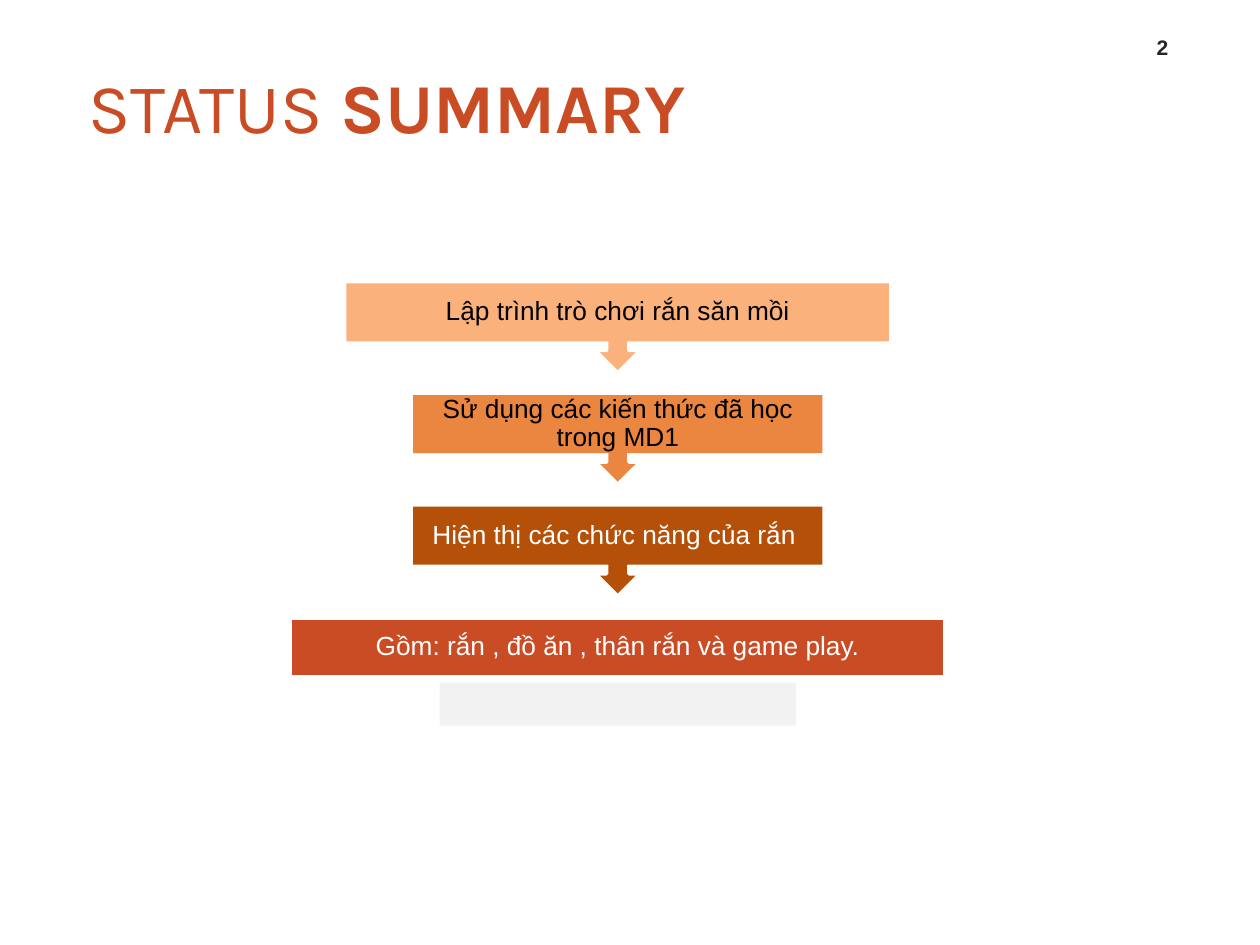
from pptx import Presentation
from pptx.dml.color import RGBColor
from pptx.enum.shapes import MSO_SHAPE
from pptx.enum.text import MSO_ANCHOR, MSO_AUTO_SIZE, PP_ALIGN
from pptx.util import Pt

COLORS = {
    "white": "FFFFFF", "black": "000000", "number": "262626", "rust": "C94C25",
    "peach": "FAB17B", "orange": "EA8640", "brown": "B45007", "gray": "F2F2F2",
}
# text, width, fill, text color
STEPS = [
    ("Lập trình trò chơi rắn săn mồi", 310, "peach", "black"),
    ("Sử dụng các kiến thức đã học trong MD1", 234, "orange", "black"),
    ("Hiện thị các chức năng của rắn ", 234, "brown", "white"),
    ("Gồm: rắn , đồ ăn , thân rắn và game play.", 374.4, "rust", "white"),
]
STEP_PITCH = 63.8
STEP_HEIGHT = 33.1
CALLOUT_HEIGHT = 51


def color(name):
    return RGBColor.from_string(COLORS[name])


def format_span(span, size, font, color_name, bold=False):
    span.font.size = Pt(size)
    span.font.name = font
    span.font.color.rgb = color(color_name)
    span.font.bold = bold


def add_box(shapes, kind, left, top, width, height, fill, outlined=False):
    box = shapes.add_shape(kind, Pt(left), Pt(top), Pt(width), Pt(height))
    box.shadow.inherit = False
    box.fill.solid()
    box.fill.fore_color.rgb = color(fill)
    if outlined:
        box.line.color.rgb = color("white")
        box.line.width = Pt(2)
    else:
        box.line.fill.background()
    return box


def fill_title(title, left, top, width, height):
    title.left, title.top, title.width, title.height = Pt(left), Pt(top), Pt(width), Pt(height)
    frame = title.text_frame
    frame.auto_size = MSO_AUTO_SIZE.NONE
    frame.vertical_anchor = MSO_ANCHOR.MIDDLE
    frame.margin_left = frame.margin_right = 0
    para = frame.paragraphs[0]
    para.alignment = PP_ALIGN.LEFT
    para._p.get_or_add_pPr().set("marL", str(Pt(14.4)))
    for text, bold in (("STATUS", False), (" SUMMARY", True)):
        span = para.add_run()
        span.text = text
        format_span(span, 40, "Karla", "rust", bold)


def add_page_number(page, left, top, width, height):
    box = page.shapes.add_textbox(Pt(left), Pt(top), Pt(width), Pt(height))
    frame = box.text_frame
    frame.word_wrap = True
    frame.vertical_anchor = MSO_ANCHOR.BOTTOM
    para = frame.paragraphs[0]
    para.text = "2"
    para.alignment = PP_ALIGN.CENTER
    format_span(para.runs[0], 12, "Arial", "number", True)


def set_label(box, text, text_color):
    frame = box.text_frame
    frame.word_wrap = True
    frame.vertical_anchor = MSO_ANCHOR.MIDDLE
    frame.margin_left = frame.margin_right = frame.margin_top = frame.margin_bottom = Pt(8.4)
    para = frame.paragraphs[0]
    para.text = text
    para.alignment = PP_ALIGN.CENTER
    para.line_spacing = 0.9
    para.space_after = Pt(5.25)
    format_span(para.runs[0], 15, "Arial", text_color)


def add_steps(page, center, top):
    """Stack the steps downwards; all but the last carry a down arrow."""
    for index, (text, width, fill, text_color) in enumerate(STEPS):
        shapes = page.shapes.add_group_shape().shapes
        left = center - width / 2
        step_top = top + index * STEP_PITCH
        if index < len(STEPS) - 1:
            callout = add_box(shapes, MSO_SHAPE.UP_ARROW_CALLOUT, left, step_top,
                              width, CALLOUT_HEIGHT, fill, outlined=True)
            callout.rotation = 180
            label = add_box(shapes, MSO_SHAPE.RECTANGLE, left, step_top,
                            width, STEP_HEIGHT, fill)
        else:
            add_box(shapes, MSO_SHAPE.RECTANGLE, left, step_top,
                    width, STEP_HEIGHT, fill, outlined=True)
            label = add_box(shapes, MSO_SHAPE.RECTANGLE, left + 7.2, step_top + 7.2,
                            width - 14.4, 18, fill)
        set_label(label, text, text_color)


def main():
    deck = Presentation()
    deck.slide_width, deck.slide_height = Pt(720), Pt(540)
    page = deck.slides.add_slide(deck.slide_layouts[5])
    fill_title(page.shapes.title, 36, 28.8, 384, 62.6)
    add_page_number(page, 644.4, 13.7, 39.6, 23.8)
    add_steps(page, 353, 162)
    add_box(page.shapes, MSO_SHAPE.RECTANGLE, 251.2, 390.2, 203.8, 24.5, "gray")
    deck.save("out.pptx")


if __name__ == "__main__":
    main()
